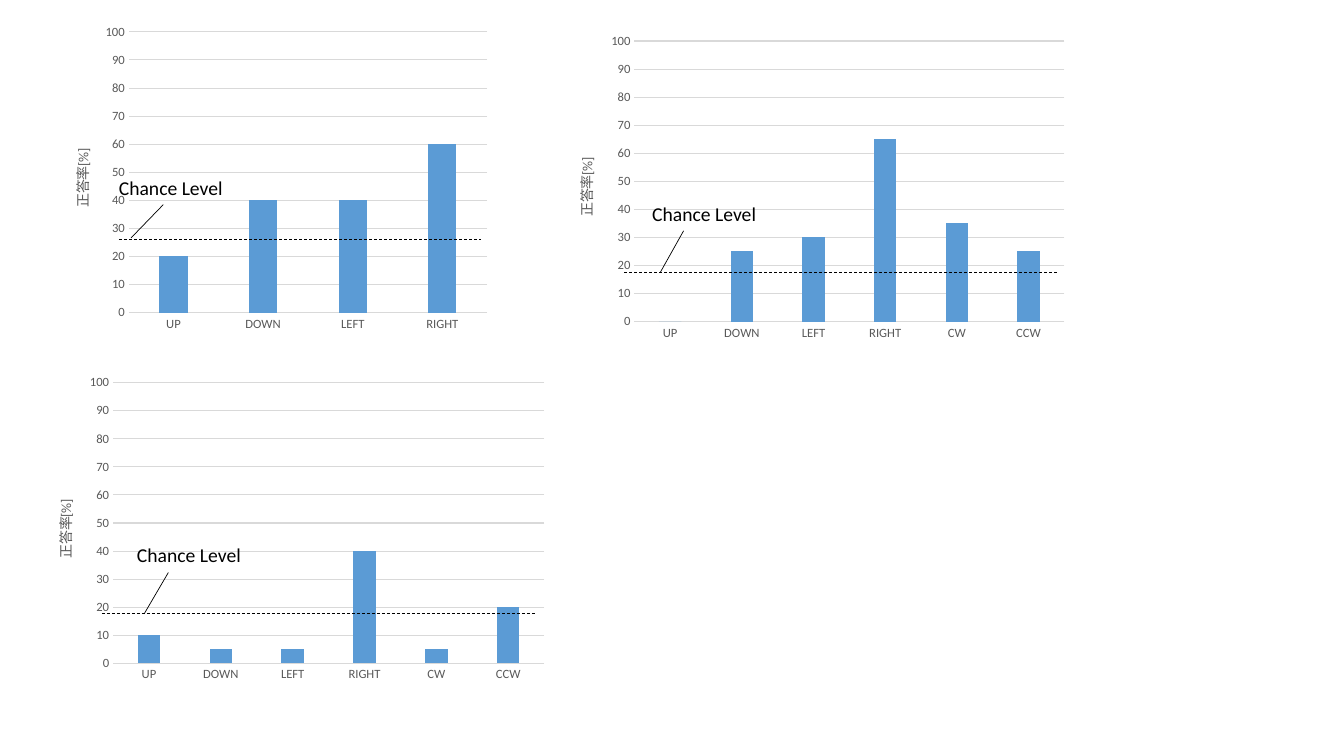
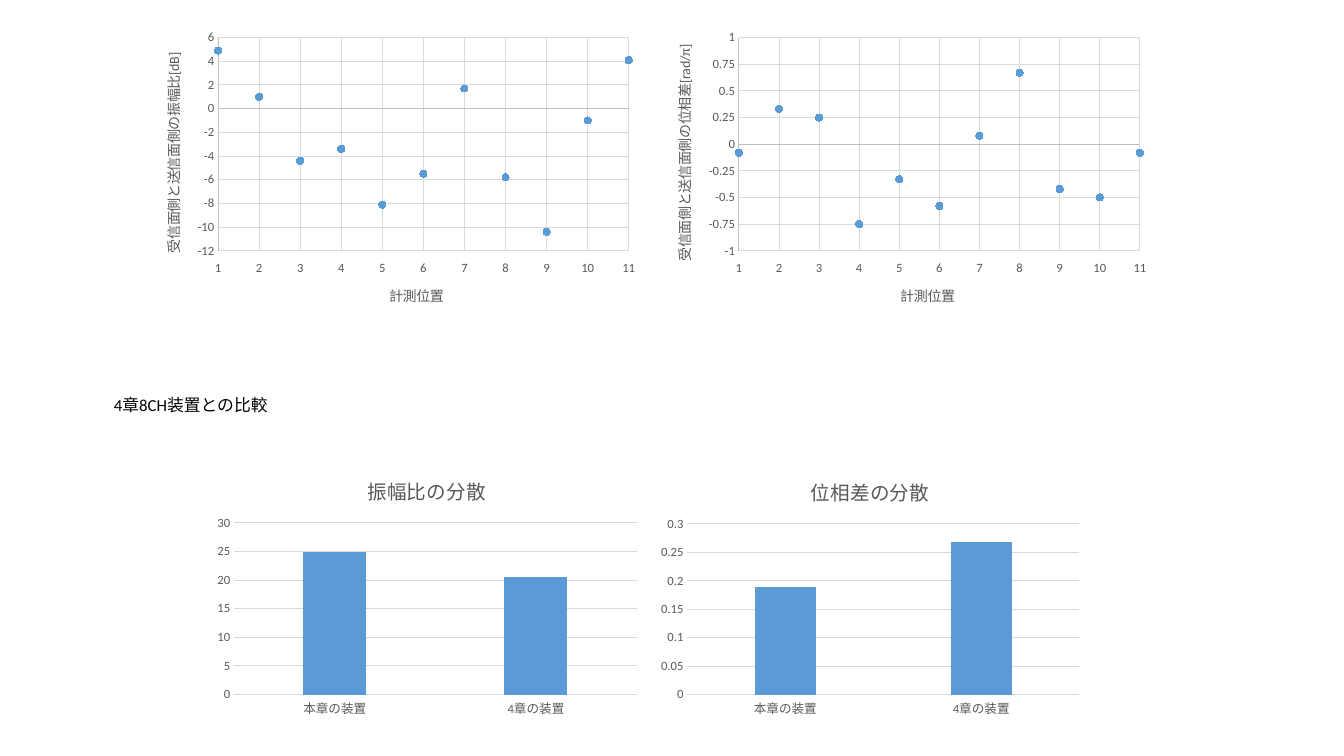
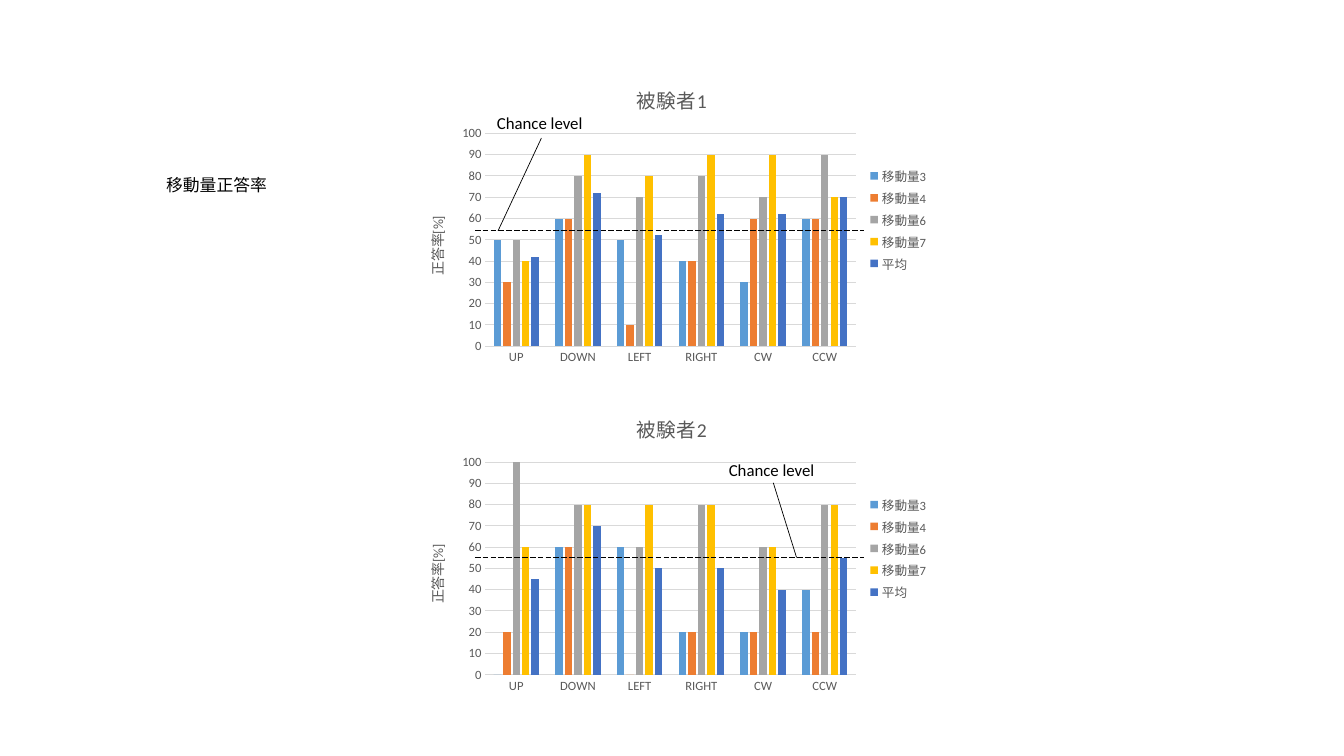
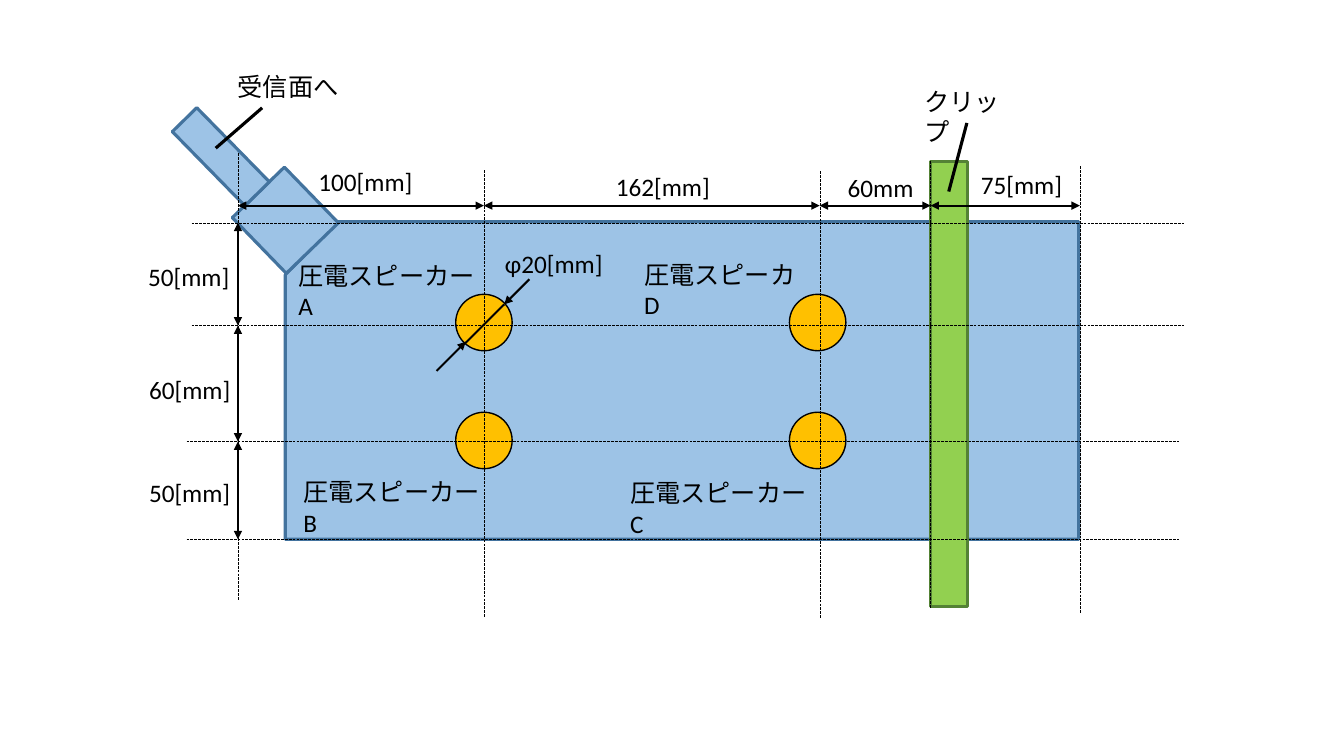
from dataclasses import dataclass
from itertools import pairwise, product

from pptx import Presentation
from pptx.chart.data import CategoryChartData, XyChartData
from pptx.dml.color import RGBColor
from pptx.enum.chart import XL_CHART_TYPE as ChartType
from pptx.enum.chart import XL_LEGEND_POSITION as LegendPosition
from pptx.enum.chart import XL_MARKER_STYLE as MarkerStyle
from pptx.enum.chart import XL_TICK_LABEL_POSITION as LabelPosition
from pptx.enum.chart import XL_TICK_MARK as TickMark
from pptx.enum.dml import MSO_LINE as Dash
from pptx.enum.shapes import MSO_CONNECTOR as Connector
from pptx.enum.shapes import MSO_SHAPE as Shape
from pptx.oxml.ns import qn
from pptx.util import Inches, Pt

FONT = "Calibri"
HEX = {
    "black": "000000", "chart text": "595959", "grid": "D9D9D9", "axis": "BFBFBF",
    "blue": "5B9BD5", "orange": "ED7D31", "gray": "A5A5A5", "yellow": "FFC000",
    "dark blue": "4472C4", "plate": "9DC3E6", "plate edge": "43739E",
    "clip": "92D050", "clip edge": "548235",
}
COLOR = {name: RGBColor.from_string(value) for name, value in HEX.items()}
SERIES_COLORS = ("blue", "orange", "gray", "yellow", "dark blue")


@dataclass
class ChartSpec:
    """One chart; without categories it is a scatter over positions 1, 2, 3..."""
    slide: object
    box: tuple
    series: dict
    categories: tuple = ()
    title: str = ""
    y_title: str = ""
    maximum: float = None
    major_unit: float = None


def add_line(slide, start, end, width, dash=None, arrows=()):
    """Draw a black line; arrows may hold headEnd (start) and tailEnd (end)."""
    line = slide.shapes.add_connector(
        Connector.STRAIGHT, *(Inches(value) for value in (*start, *end)))
    line.line.color.rgb = COLOR["black"]
    line.line.width = Pt(width)
    if dash is not None:
        line.line.dash_style = dash
    outline = line.line._get_or_add_ln()
    for arrow in arrows:
        outline.makeelement(qn(f"a:{arrow}"), {"type": "triangle"})
        outline.append(outline.makeelement(qn(f"a:{arrow}"), {"type": "triangle"}))
    properties = line._element.spPr
    properties.append(properties.makeelement(qn("a:effectLst"), {}))


def add_label(slide, text, box, size):
    label = slide.shapes.add_textbox(*(Inches(value) for value in box))
    label.text_frame.word_wrap = True
    label.text_frame.text = text
    font = label.text_frame.paragraphs[0].runs[0].font
    font.name, font.size, font.color.rgb = FONT, Pt(size), COLOR["black"]


presentation = Presentation()
presentation.slide_width = Inches(13.33)
presentation.slide_height = Inches(7.5)
blank = presentation.slide_layouts[6]
direction_slide, phase_slide, subject_slide, device_slide = (
    presentation.slides.add_slide(blank) for _ in range(4))

# Charts of the first three slides
FOUR_WAYS = ("UP", "DOWN", "LEFT", "RIGHT")
SIX_WAYS = FOUR_WAYS + ("CW", "CCW")
DEVICES = ("本章の装置", "4章の装置")
RATE = "正答率[%]"
charts = [
    ChartSpec(direction_slide, (0.5, 0.18, 4.42, 3.17), {"Series 1": (20, 40, 40, 60)},
              FOUR_WAYS, y_title=RATE, maximum=100),
    ChartSpec(direction_slide, (5.5, 0.27, 5.16, 3.17), {"Series 1": (0, 25, 30, 65, 35, 25)},
              SIX_WAYS, y_title=RATE, maximum=100),
    ChartSpec(direction_slide, (0.33, 3.66, 5.17, 3.17), {"Series 1": (10, 5, 5, 40, 5, 20)},
              SIX_WAYS, y_title=RATE, maximum=100),
    ChartSpec(phase_slide, (6.47, 0.24, 5, 3),
              {"Series 1": (-0.08, 0.33, 0.25, -0.75, -0.33, -0.58, 0.08, 0.67, -0.42, -0.5, -0.08)},
              y_title="受信面側と送信面側の位相差[rad/π]", maximum=1, major_unit=0.25),
    ChartSpec(phase_slide, (1.4, 0.24, 5, 3),
              {"Series 1": (4.9, 1, -4.4, -3.4, -8.1, -5.5, 1.7, -5.8, -10.4, -1, 4.1)},
              y_title="受信面側と送信面側の振幅比[dB]"),
    ChartSpec(phase_slide, (2.07, 4.56, 4.33, 2.6), {"Series 1": (24.9, 20.5)},
              DEVICES, title="振幅比の分散"),
    ChartSpec(phase_slide, (6.47, 4.57, 4.32, 2.59), {"Series 1": (0.189, 0.269)},
              DEVICES, title="位相差の分散"),
    ChartSpec(subject_slide, (4.02, 0.68, 5.29, 3), {
        "移動量3": (50, 60, 50, 40, 30, 60),
        "移動量4": (30, 60, 10, 40, 60, 60),
        "移動量6": (50, 80, 70, 80, 70, 90),
        "移動量7": (40, 90, 80, 90, 90, 70),
        "平均": (42, 72, 52, 62, 62, 70),
    }, SIX_WAYS, title="被験者1", y_title=RATE, maximum=100),
    ChartSpec(subject_slide, (4.02, 3.94, 5.29, 3), {
        "移動量3": (0, 60, 60, 20, 20, 40),
        "移動量4": (20, 60, 0, 20, 20, 20),
        "移動量6": (100, 80, 60, 80, 60, 80),
        "移動量7": (60, 80, 80, 80, 60, 80),
        "平均": (45, 70, 50, 50, 40, 55),
    }, SIX_WAYS, title="被験者2", y_title=RATE, maximum=100),
]

for spec in charts:
    scatter = not spec.categories
    if scatter:
        data, kind = XyChartData(), ChartType.XY_SCATTER
        for name, values in spec.series.items():
            points = data.add_series(name)
            for position, value in enumerate(values, start=1):
                points.add_data_point(position, value)
    else:
        data, kind = CategoryChartData(), ChartType.COLUMN_CLUSTERED
        data.categories = spec.categories
        for name, values in spec.series.items():
            data.add_series(name, values)
    box = (Inches(value) for value in spec.box)
    chart = spec.slide.shapes.add_chart(kind, *box, data).chart
    chart.font.name, chart.font.size = FONT, Pt(10)
    chart.font.color.rgb = COLOR["black"]
    fonts = []

    plot = chart.plots[0]
    plot.vary_by_categories = False
    if not scatter:
        plot.gap_width, plot.overlap = 219, -27
    for series, color in zip(plot.series, SERIES_COLORS):
        if scatter:
            series.smooth = False
            series.format.line.fill.background()
            series.marker.style, series.marker.size = MarkerStyle.CIRCLE, 5
            series.marker.format.line.color.rgb = COLOR[color]
            fill = series.marker.format.fill
        else:
            series.invert_if_negative = False
            fill = series.format.fill
        fill.solid()
        fill.fore_color.rgb = COLOR[color]

    x_axis, y_axis = chart.category_axis, chart.value_axis
    for axis in (x_axis, y_axis):
        axis.major_tick_mark = axis.minor_tick_mark = TickMark.NONE
        axis.has_major_gridlines = scatter or axis is y_axis
        if axis.has_major_gridlines:
            axis.major_gridlines.format.line.color.rgb = COLOR["grid"]
            axis.major_gridlines.format.line.width = Pt(0.75)
        if scatter or axis is x_axis:
            axis.format.line.color.rgb = COLOR["axis" if scatter else "grid"]
            axis.format.line.width = Pt(0.75)
        else:
            axis.format.line.fill.background()
        fonts.append((axis.tick_labels.font, 9))
    if spec.maximum is not None:
        y_axis.maximum_scale = spec.maximum
    if spec.major_unit is not None:
        y_axis.major_unit = spec.major_unit
    if scatter:
        x_axis.minimum_scale, x_axis.maximum_scale = 1, 11
        x_axis.tick_label_position = LabelPosition.LOW

    chart.has_title = bool(spec.title)
    titles = [(chart.chart_title, spec.title, 14)] if spec.title else []
    if spec.y_title:
        titles.append((y_axis.axis_title, spec.y_title, 10))
    if scatter:
        titles.append((x_axis.axis_title, "計測位置", 10))
    for title, text, size in titles:
        title.text_frame.text = text
        fonts.append((title.text_frame.paragraphs[0].runs[0].font, size))
    if spec.y_title:
        body = y_axis.axis_title.text_frame._txBody.bodyPr
        body.set("rot", "-5400000")
        body.set("vert", "horz")

    chart.has_legend = len(spec.series) > 1
    if chart.has_legend:
        chart.legend.position = LegendPosition.RIGHT
        chart.legend.include_in_layout = False
        fonts.append((chart.legend.font, 9))
    for font, size in fonts:
        font.name, font.size, font.bold = FONT, Pt(size), False
        font.color.rgb = COLOR["chart text"]

# Chance levels: slide, text, size, label box, dash, level (left, right, y), leader
chance_levels = [
    (direction_slide, "Chance Level", 14, (1.08, 1.7, 1.41, 0.32), Dash.DASH,
     (1.18, 4.77, 2.37), ((1.62, 2.03), (1.3, 2.36))),
    (direction_slide, "Chance Level", 14, (6.37, 1.95, 1.59, 0.34), Dash.DASH,
     (6.19, 10.49, 2.7), ((6.78, 2.29), (6.55, 2.7))),
    (direction_slide, "Chance Level", 14, (1.26, 5.34, 1.59, 0.34), Dash.DASH,
     (1.01, 5.31, 6.09), ((1.67, 5.68), (1.43, 6.09))),
    (subject_slide, "Chance level", 12, (4.83, 1.07, 1.07, 0.3), Dash.LONG_DASH,
     (4.71, 8.57, 2.29), ((5.37, 1.37), (4.94, 2.29))),
    (subject_slide, "Chance level", 12, (7.13, 4.51, 1.07, 0.3), Dash.LONG_DASH,
     (4.71, 8.57, 5.53), ((7.67, 4.79), (7.9, 5.53))),
]
for slide, text, size, box, dash, (left, right, y), leader in chance_levels:
    add_line(slide, (left, y), (right, y), 0.5, dash)
    add_label(slide, text, box, size)
    add_line(slide, *leader, 0.5)

add_label(phase_slide, "4章8CH装置との比較", (1.03, 3.87, 2.45, 0.25), 12)
add_label(subject_slide, "移動量正答率", (1.55, 1.68, 1.37, 0.3), 12)

# Device drawing: preset, box, rotation, fill, edge, edge width
parts = [
    (Shape.SNIP_1_RECTANGLE, (5.19, -0.16, 3.15, 7.87), 270, "plate", "plate edge", 2.25),
    (Shape.RECTANGLE, (2.47, 1.8, 0.72, 0.77), 135.9, "plate", "plate edge", 2.25),
    (Shape.RECTANGLE, (9.23, 1.6, 0.37, 4.42), 0, "clip", "clip edge", 2.25),
    (Shape.RECTANGLE, (2.02, 1.04, 0.34, 1.03), 135.6, "plate", "plate edge", 2.25),
]
parts += [(Shape.OVAL, (left, top, 0.56, 0.56), 0, "yellow", "black", 1)
          for left, top in product((4.52, 7.83), (2.92, 4.09))]
for preset, box, rotation, fill, edge, width in parts:
    shape = device_slide.shapes.add_shape(preset, *(Inches(value) for value in box))
    shape.shadow.inherit = False
    shape.rotation = rotation
    shape.fill.solid()
    shape.fill.fore_color.rgb = COLOR[fill]
    shape.line.color.rgb = COLOR[edge]
    shape.line.width = Pt(width)

# Guides as (position, start), with dimension arrows from each guide to the next
rows = [(2.21, 1.9), (3.23, 1.9), (4.38, 1.85), (5.35, 1.85)]
columns = [(2.36, 1.52), (4.8, 1.69), (8.13, 1.7), (9.23, 1.6), (10.71, 1.65)]
BOTH_ENDS = ("headEnd", "tailEnd")
for y, left in rows:
    add_line(device_slide, (left, y), (left + 9.84, y), 0.25, Dash.LONG_DASH)
for x, top in columns:
    add_line(device_slide, (x, top), (x, top + 4.43), 0.25, Dash.LONG_DASH)
for (y, _), (next_y, _) in pairwise(rows):
    add_line(device_slide, (2.36, y), (2.36, next_y), 1.5, arrows=BOTH_ENDS)
for (x, _), (next_x, _) in pairwise(columns):
    add_line(device_slide, (x, 2.04), (next_x, 2.04), 1.5, arrows=BOTH_ENDS)

# Speaker diameter and leaders
add_line(device_slide, (4.61, 3.41), (5, 3.02), 1.5)
add_line(device_slide, (4.33, 3.68), (4.62, 3.39), 1.5, arrows=("tailEnd",))
add_line(device_slide, (5.25, 2.77), (5, 3.02), 1.5, arrows=("tailEnd",))
add_line(device_slide, (9.41, 1.9), (9.59, 1.22), 2.25)
add_line(device_slide, (2.14, 1.47), (2.6, 1.07), 2.25)

device_labels = [
    ("受信面へ", 2.26, 0.66, 1.29),
    ("クリップ", 9.07, 0.81, 1.05),
    ("100[mm]", 3.06, 1.6, 1.18),
    ("162[mm]", 6.01, 1.65, 1.16),
    ("60mm", 8.31, 1.66, 0.86),
    ("75[mm]", 9.63, 1.63, 1.07),
    ("50[mm]", 1.37, 2.54, 1.01),
    ("60[mm]", 1.38, 3.66, 1.05),
    ("50[mm]", 1.38, 4.69, 1.04),
    ("圧電スピーカーA", 2.86, 2.53, 2.09),
    ("圧電スピーカーB", 2.91, 4.68, 2.08),
    ("圧電スピーカーC", 6.15, 4.69, 2.05),
    ("圧電スピーカD", 6.29, 2.52, 1.85),
    ("φ20[mm]", 4.91, 2.41, 1.21),
]
for text, left, top, width in device_labels:
    add_label(device_slide, text, (left, top, width, 0.4), 18)

presentation.save("out.pptx")
